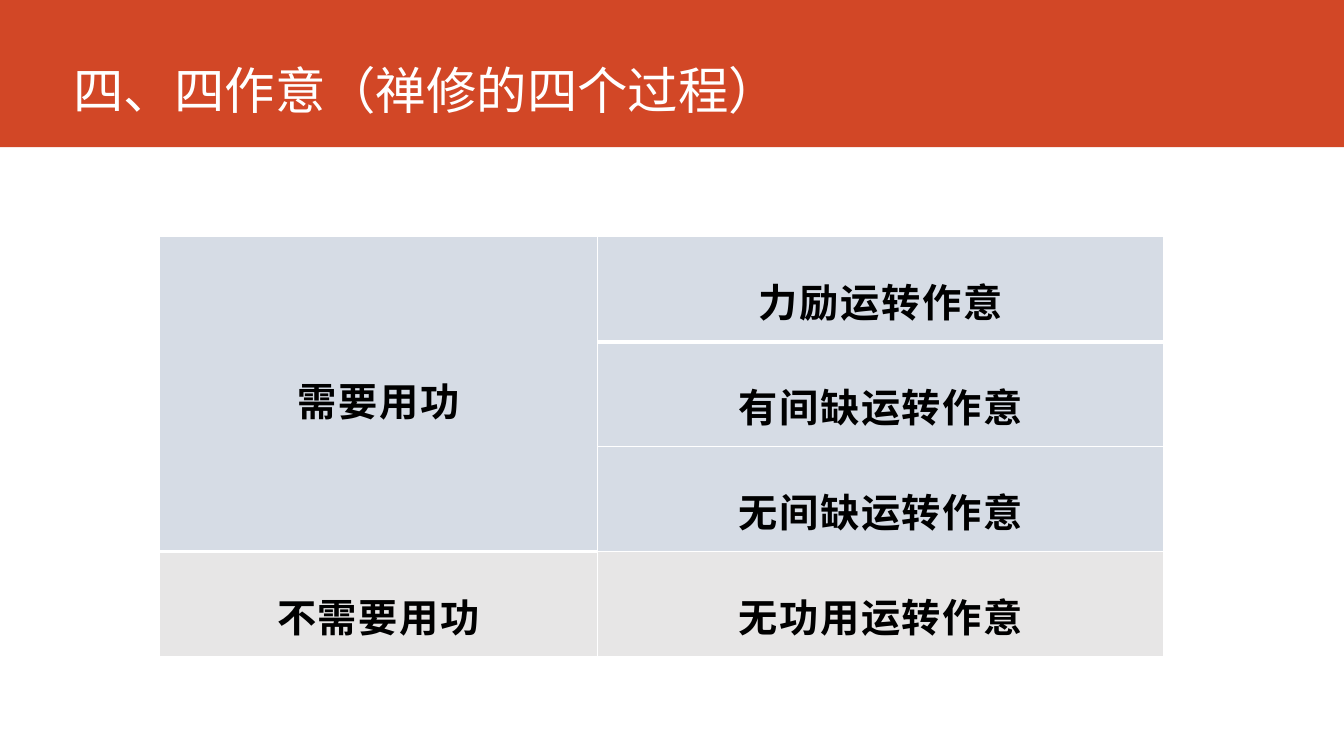
from lxml.etree import SubElement
from pptx import Presentation
from pptx.dml.color import RGBColor
from pptx.enum.lang import MSO_LANGUAGE_ID
from pptx.enum.shapes import MSO_SHAPE
from pptx.enum.text import MSO_ANCHOR, PP_ALIGN
from pptx.oxml.ns import qn
from pptx.util import Inches, Pt

ORANGE = RGBColor(0xD2, 0x47, 0x26)
WHITE = RGBColor(0xFF, 0xFF, 0xFF)
BLACK = RGBColor(0, 0, 0)
BLUE_GREY = RGBColor(0xD6, 0xDC, 0xE5)
LIGHT_GREY = RGBColor(0xE7, 0xE6, 0xE6)
CJK_FONT = "Noto Sans CJK SC"

TITLE_FONT = {"name": CJK_FONT, "size": Pt(36), "bold": False}
CELL_FONT = {"name": "Cabin", "size": Pt(28), "bold": True}
CELL_FORMAT = {
    "margin_left": Inches(0.35),
    "margin_right": Inches(0.35),
    "margin_top": Inches(0.24),
    "margin_bottom": Inches(0.24),
    "vertical_anchor": MSO_ANCHOR.MIDDLE,
}
COLUMN_WIDTHS = (4.35, 5.61)
ROW_HEIGHT = 1.03
ROWS = [
    ("需要用功", "力励运转作意", BLUE_GREY),
    (None, "有间缺运转作意", BLUE_GREY),
    (None, "无间缺运转作意", BLUE_GREY),
    ("不需要用功", "无功用运转作意", LIGHT_GREY),
]


def set_format(target, values):
    for name, value in values.items():
        setattr(target, name, value)


class SlideBuilder:
    def __init__(self, slide):
        self.slide = slide

    def text_run(self, p, text, font, color, spacing=0):
        r = p.add_run()
        r.text = text
        set_format(r.font, font)
        r.font.language_id = MSO_LANGUAGE_ID.SIMPLIFIED_CHINESE
        r.font.color.rgb = color
        rPr = r._r.get_or_add_rPr()
        SubElement(rPr, qn("a:ea"), typeface=CJK_FONT)
        if spacing:
            rPr.set("spc", str(spacing))

    def band(self, left, top, width, height, color):
        sp = self.slide.shapes.add_shape(
            MSO_SHAPE.RECTANGLE, *map(Inches, (left, top, width, height)))
        sp.shadow.inherit = False
        sp.fill.solid()
        sp.fill.fore_color.rgb = color
        sp.line.fill.background()

    def title(self, left, top, width, height, text):
        sp = self.slide.shapes.add_textbox(*map(Inches, (left, top, width, height)))
        tf = sp.text_frame
        set_format(tf, {"word_wrap": True, "vertical_anchor": MSO_ANCHOR.BOTTOM})
        self.text_run(tf.paragraphs[0], text, TITLE_FONT, WHITE)

    def borders(self, cell, bottom):
        tcPr = cell._tc.get_or_add_tcPr()
        for side, width in (("L", 1), ("R", 1), ("T", 1), ("B", bottom)):
            ln = SubElement(tcPr, qn(f"a:ln{side}"), w=str(Pt(width)))
            fill = SubElement(ln, qn("a:solidFill"))
            SubElement(fill, qn("a:srgbClr"), val=str(WHITE))

    def cell(self, cell, text, color, bottom):
        set_format(cell, CELL_FORMAT)
        self.borders(cell, bottom)
        cell.fill.solid()
        cell.fill.fore_color.rgb = color
        p = cell.text_frame.paragraphs[0]
        set_format(p, {"alignment": PP_ALIGN.CENTER, "line_spacing": 1.2})
        self.text_run(p, text, CELL_FONT, BLACK, spacing=130)

    def table(self, left, top, rows):
        size = (sum(COLUMN_WIDTHS), ROW_HEIGHT * len(rows))
        table = self.slide.shapes.add_table(
            len(rows), len(COLUMN_WIDTHS), *map(Inches, (left, top, *size))).table
        set_format(table, {"first_row": False, "horz_banding": False})
        for column, width in zip(table.columns, COLUMN_WIDTHS):
            column.width = Inches(width)
        table.cell(0, 0).merge(table.cell(2, 0))
        for i, (*texts, color) in enumerate(rows):
            table.rows[i].height = Inches(ROW_HEIGHT)
            for j, text in enumerate(texts):
                if text:
                    self.cell(table.cell(i, j), text, color, 3 if i == 0 else 1)


def main():
    prs = Presentation()
    prs.slide_width, prs.slide_height = Inches(13.33), Inches(7.5)
    s = SlideBuilder(prs.slides.add_slide(prs.slide_layouts[6]))
    s.band(0, 0, 13.33, 1.46, ORANGE)
    s.title(0.63, 0.22, 11.75, 1.02, "四、四作意（禅修的四个过程）")
    s.table(1.58, 2.35, ROWS)
    prs.save("out.pptx")


if __name__ == "__main__":
    main()
